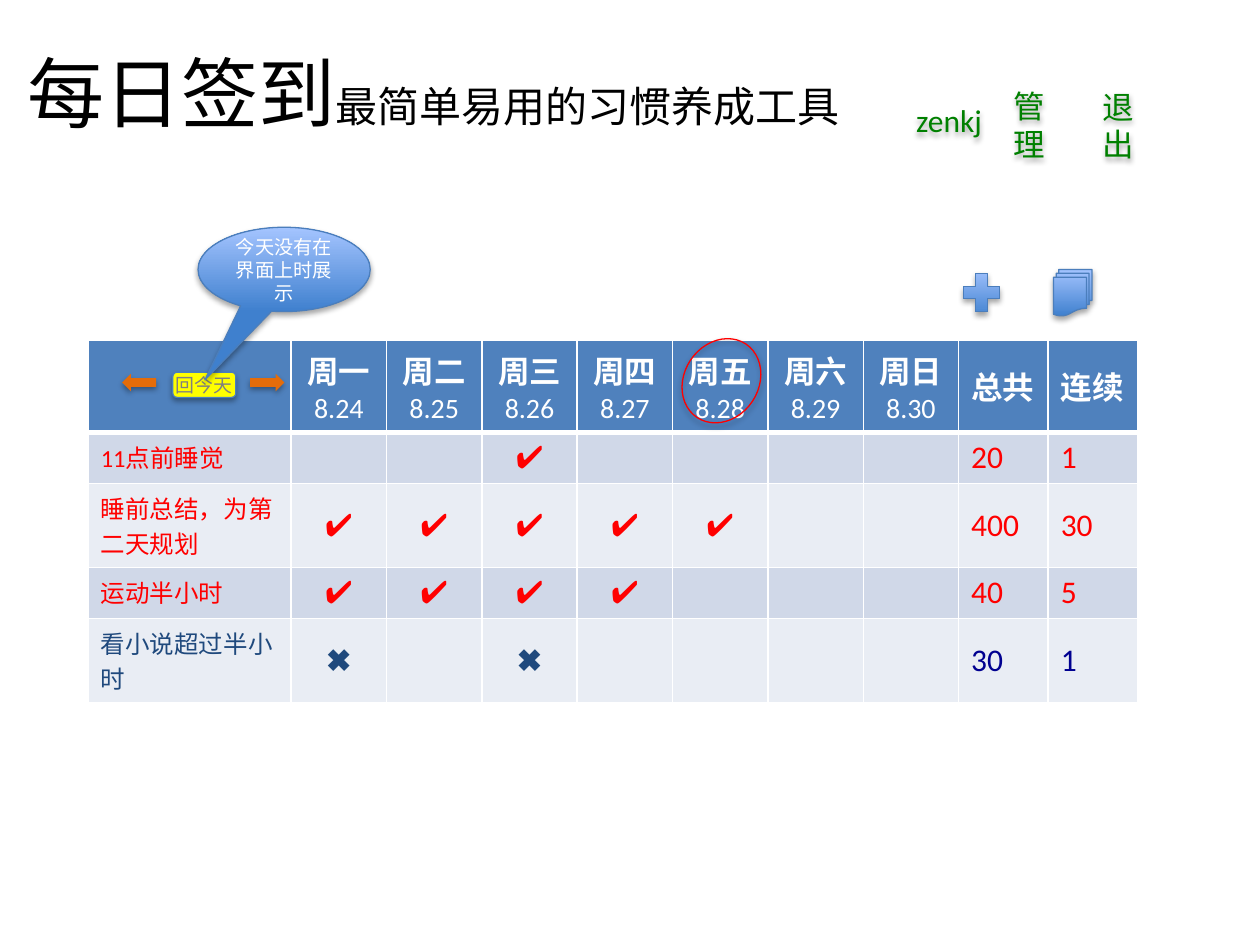
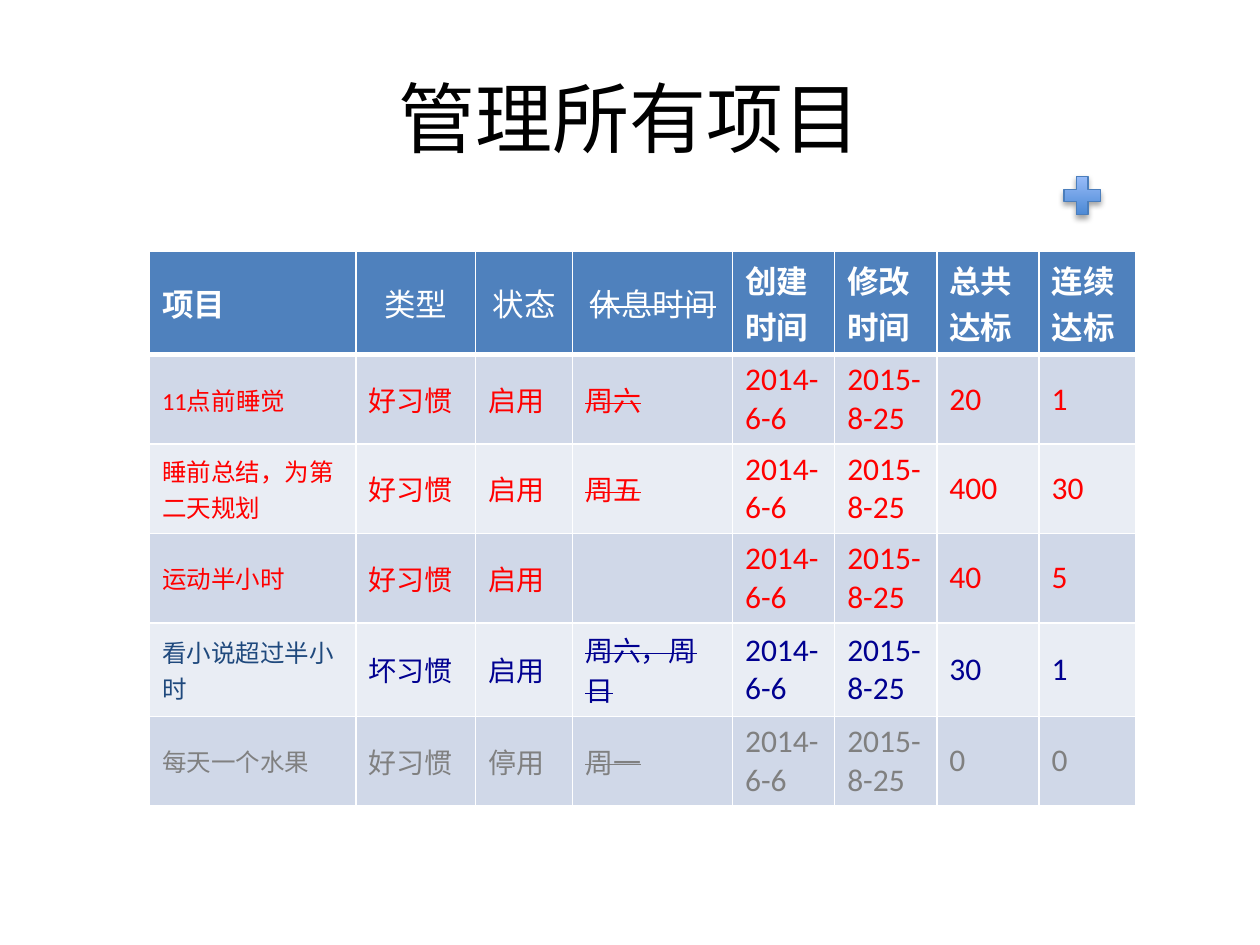
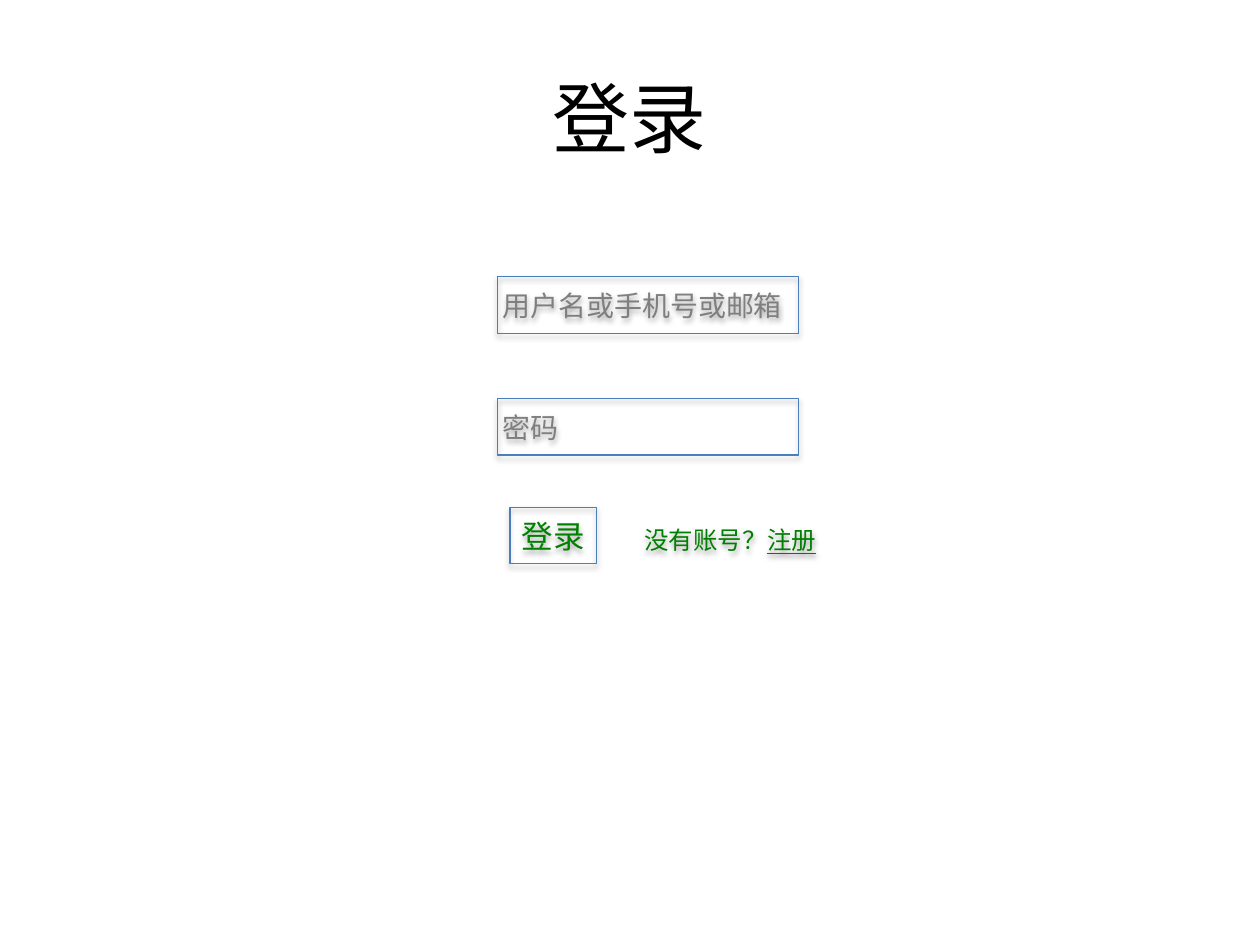
from dataclasses import dataclass
from typing import NamedTuple

from lxml.etree import SubElement
from pptx import Presentation
from pptx.dml.color import RGBColor
from pptx.enum.shapes import MSO_SHAPE
from pptx.enum.text import MSO_ANCHOR, PP_ALIGN
from pptx.oxml.ns import qn
from pptx.util import Pt


@dataclass(frozen=True)
class Theme:
    black: str = "000000"
    white: str = "FFFFFF"
    header: str = "4F81BD"
    bands: tuple = ("D0D8E8", "E9EDF4")
    outline: str = "4B7EBC"
    gradient: tuple = ("3F80CE", "A4C4FF")
    good: str = "FF0000"
    bad: str = "1F497D"
    bad_data: str = "000090"
    stopped: str = "808080"
    hint: str = "7F7F7F"
    action: str = "008000"
    arrow: str = "E46C0A"
    highlight: str = "FFFF00"
    font: str = "Calibri"
    symbol_font: str = "Arial"
    title: float = 44
    subtitle: float = 24
    body: float = 18
    detail: float = 16
    item: float = 14
    callout: float = 11
    badge: float = 10.8


THEME = Theme()


class Box(NamedTuple):
    left: float
    top: float
    width: float
    height: float

    def lengths(self) -> tuple:
        return tuple(Pt(value) for value in self)


@dataclass(frozen=True)
class Habit:
    name: str
    kind: str
    state: str
    rest: str
    total: str
    streak: str
    days: tuple = ()
    mark: str = "✔"
    name_color: str = THEME.good
    data_color: str = THEME.good


HABITS = [
    Habit("11点前睡觉", "好习惯", "启用", "周六", "20", "1", days=(2,)),
    Habit("睡前总结，为第二天规划", "好习惯", "启用", "周五", "400", "30", days=(0, 1, 2, 3, 4)),
    Habit("运动半小时", "好习惯", "启用", "", "40", "5", days=(0, 1, 2, 3)),
    Habit("看小说超过半小时", "坏习惯", "启用", "周六，周日", "30", "1", days=(0, 2), mark="✖",
          name_color=THEME.bad, data_color=THEME.bad_data),
    Habit("每天一个水果", "好习惯", "停用", "周一", "0", "0",
          name_color=THEME.stopped, data_color=THEME.stopped),
]
WEEK = [("周" + day, f"8.{24 + offset}") for offset, day in enumerate("一二三四五六日")]
TIGHT = (3, 3.6)
NO_INSET = (0, 0)


# Text
def write(paragraph, text: str, *, size: float = THEME.body, color: str = THEME.black,
          font: str = THEME.font, bold: bool = False, strike: bool = False,
          underline: bool = False, align=PP_ALIGN.LEFT) -> None:
    paragraph.alignment = align
    run = paragraph.add_run()
    run.text = text
    run.font.size = Pt(size)
    run.font.name = font
    run.font.bold = bold
    run.font.color.rgb = RGBColor.from_string(color)
    if underline:
        run.font.underline = True
    if strike:
        run._r.get_or_add_rPr().set("strike", "sngStrike")


def prepare_frame(shape, inset: tuple = (7.2, 3.6)):
    """Set wrapping, anchor and insets; return the first paragraph."""
    frame = shape.text_frame
    frame.word_wrap = True
    frame.vertical_anchor = MSO_ANCHOR.MIDDLE
    frame.margin_left = frame.margin_right = Pt(inset[0])
    frame.margin_top = frame.margin_bottom = Pt(inset[1])
    return frame.paragraphs[0]


def add_text_area(slide, box: Box, inset: tuple = (7.2, 3.6)):
    area = slide.shapes.add_textbox(*box.lengths())
    return area, prepare_frame(area, inset)


def add_title(slide, text: str) -> None:
    _, paragraph = add_text_area(slide, Box(36, 21.6, 648, 90))
    write(paragraph, text, size=THEME.title, align=PP_ALIGN.CENTER)


# Shapes
def cast_shadow(shape) -> None:
    shape.shadow.inherit = False
    effects = shape._element.spPr.find(qn("a:effectLst"))
    shadow = SubElement(effects, qn("a:outerShdw"), blurRad=str(Pt(3.15)), dist=str(Pt(1.8)),
                        dir="5400000", rotWithShape="0")
    color = SubElement(shadow, qn("a:srgbClr"), val=THEME.black)
    SubElement(color, qn("a:alpha"), val="35000")


def add_figure(slide, kind, box: Box, *, fill: str | None = None, gradient: bool = False,
               line: str | None = THEME.outline):
    figure = slide.shapes.add_shape(kind, *box.lengths())
    cast_shadow(figure)
    if gradient:
        figure.fill.gradient()
        figure.fill.gradient_angle = 90
        for stop, color in zip(figure.fill.gradient_stops, THEME.gradient):
            stop.color.rgb = RGBColor.from_string(color)
    elif fill:
        figure.fill.solid()
        figure.fill.fore_color.rgb = RGBColor.from_string(fill)
    else:
        figure.fill.background()
    if line:
        figure.line.color.rgb = RGBColor.from_string(line)
        figure.line.width = Pt(0.75)
    else:
        figure.line.fill.background()
    return figure


def add_plus(slide, left: float, top: float) -> None:
    add_figure(slide, MSO_SHAPE.MATH_PLUS, Box(left, top, 28, 30), gradient=True)


def add_action(slide, text: str, box: Box) -> None:
    area, paragraph = add_text_area(slide, box, TIGHT)
    cast_shadow(area)
    write(paragraph, text, color=THEME.action, align=PP_ALIGN.CENTER)


def add_field(slide, text: str, box: Box, **style) -> None:
    field = add_figure(slide, MSO_SHAPE.RECTANGLE, box)
    write(prepare_frame(field, TIGHT), text, **style)


# Tables
def set_borders(cell, widths: dict) -> None:
    properties = cell._tc.get_or_add_tcPr()
    for position, (side, width) in enumerate(widths.items()):
        border = SubElement(properties, qn(f"a:ln{side}"), w=str(Pt(width)))
        fill = SubElement(border, qn("a:solidFill"))
        SubElement(fill, qn("a:srgbClr"), val=THEME.white)
        properties.insert(position, border)


def add_grid(slide, left: float, top: float, widths: list, heights: list):
    box = Box(left, top, sum(widths), sum(heights))
    grid = slide.shapes.add_table(len(heights), len(widths), *box.lengths()).table
    for column, width in zip(grid.columns, widths):
        column.width = Pt(width)
    for index, (row, height) in enumerate(zip(grid.rows, heights)):
        row.height = Pt(height)
        color = THEME.bands[(index - 1) % 2] if index else THEME.header
        for cell in row.cells:
            cell.fill.solid()
            cell.fill.fore_color.rgb = RGBColor.from_string(color)
            set_borders(cell, {"L": 1, "R": 1, "T": 3 if index == 1 else 1,
                               "B": 3 if index == 0 else 1})
    return grid


def write_cell(cell, text: str, anchor=MSO_ANCHOR.MIDDLE, **style) -> None:
    if text:
        cell.vertical_anchor = anchor
        write(cell.text_frame.paragraphs[0], text, **style)


# Slide 1: daily check-in
def build_check_in(slide) -> None:
    _, heading = add_text_area(slide, Box(8.6, 7.2, 526.3, 90))
    write(heading, "每日签到", size=THEME.title, font=THEME.symbol_font)
    write(heading, "最简单易用的习惯养成工具", size=THEME.subtitle)
    add_plus(slide, 546.9, 152.2)

    habits = HABITS[:4]
    grid = add_grid(slide, 50.4, 194.4, [116] + [54.5] * len(WEEK) + [51.2] * 2,
                    [52.6] + [29.2, 48] * 2)
    for column, (day, date) in enumerate(WEEK, start=1):
        cell = grid.cell(0, column)
        write_cell(cell, day, MSO_ANCHOR.TOP, color=THEME.white, bold=True,
                   align=PP_ALIGN.CENTER)
        write(cell.text_frame.add_paragraph(), date, size=THEME.detail, color=THEME.white,
              align=PP_ALIGN.CENTER)
    for column, label in enumerate(("总共", "连续"), start=len(WEEK) + 1):
        write_cell(grid.cell(0, column), label, color=THEME.white, bold=True)
    for row, habit in enumerate(habits, start=1):
        write_cell(grid.cell(row, 0), habit.name, MSO_ANCHOR.TOP, size=THEME.item,
                   color=habit.name_color)
        for day in habit.days:
            write_cell(grid.cell(row, day + 1), habit.mark, font=THEME.symbol_font,
                       color=habit.name_color, align=PP_ALIGN.CENTER)
        for column, count in enumerate((habit.total, habit.streak), start=len(WEEK) + 1):
            write_cell(grid.cell(row, column), count, color=habit.data_color)

    # Week navigation and today's marker
    for kind, left in ((MSO_SHAPE.RIGHT_ARROW, 143), (MSO_SHAPE.LEFT_ARROW, 69.8)):
        add_figure(slide, kind, Box(left, 213.6, 19.5, 10), fill=THEME.arrow, line=None)
    today_ring = add_figure(slide, MSO_SHAPE.OVAL, Box(391, 192.4, 42.5, 50.4), line=THEME.good)
    today_ring.rotation = 33.6
    back_to_today = add_figure(slide, MSO_SHAPE.ROUNDED_RECTANGLE, Box(98.8, 212.7, 36, 14.4),
                               fill=THEME.highlight)
    write(prepare_frame(back_to_today, NO_INSET), "回今天", size=THEME.badge,
          color=THEME.stopped, align=PP_ALIGN.CENTER)
    add_figure(slide, MSO_SHAPE.FLOWCHART_MULTIDOCUMENT, Box(602, 154, 22, 26.6),
               gradient=True)

    # Account actions and callout
    add_action(slide, "管理", Box(567.4, 55.2, 41.7, 32.4))
    add_action(slide, "退出", Box(618.2, 55.4, 41.7, 32.4))
    hint = add_figure(slide, MSO_SHAPE.OVAL_CALLOUT, Box(113.2, 129.9, 98.4, 48.2),
                      gradient=True)
    hint.adjustments[0], hint.adjustments[1] = -0.46, 1.31
    write(prepare_frame(hint), "今天没有在界面上时展示", size=THEME.callout, color=THEME.white,
          align=PP_ALIGN.CENTER)
    add_action(slide, "zenkj", Box(515, 52.4, 54.7, 32.4))


# Slide 2: manage all items
def build_management(slide) -> None:
    add_title(slide, "管理所有项目")
    add_plus(slide, 604.4, 96.8)
    grid = add_grid(slide, 85.4, 143.5,
                    [118, 68.4, 55.4, 91.4, 58.4, 58.4, 58.4, 55.2],
                    [59.2, 51.1, 51.1, 51.1, 53.4, 51.1])
    labels = ("项目", "类型", "状态", "休息时间", "创建时间", "修改时间", "总共达标", "连续达标")
    rest_column = labels.index("休息时间")
    for column, label in enumerate(labels):
        centered = 1 <= column <= rest_column
        write_cell(grid.cell(0, column), label, color=THEME.white, bold=not centered,
                   strike=column == rest_column,
                   align=PP_ALIGN.CENTER if centered else PP_ALIGN.LEFT)
    for row, habit in enumerate(HABITS, start=1):
        write_cell(grid.cell(row, 0), habit.name, size=THEME.item, color=habit.name_color)
        values = (habit.kind, habit.state, habit.rest, "2014-6-6", "2015-8-25",
                  habit.total, habit.streak)
        for column, value in enumerate(values, start=1):
            write_cell(grid.cell(row, column), value, color=habit.data_color,
                       size=THEME.detail if column <= rest_column else THEME.body,
                       strike=column == rest_column)


# Slide 3: login
def build_login(slide) -> None:
    add_title(slide, "登录")
    for text, top in (("用户名或手机号或邮箱", 158.2), ("密码", 227.7)):
        add_field(slide, text, Box(284.4, top, 172, 32.4), size=THEME.detail, color=THEME.hint)
    add_field(slide, "登录", Box(291.4, 290, 49.5, 32.2), color=THEME.action,
              align=PP_ALIGN.CENTER)
    register, prompt = add_text_area(slide, Box(363.4, 292.3, 108, 32.4), TIGHT)
    cast_shadow(register)
    for text, underline in (("没有账号？", False), ("注册", True)):
        write(prompt, text, size=THEME.item, color=THEME.action, underline=underline,
              align=PP_ALIGN.CENTER)


deck = Presentation()
deck.slide_width, deck.slide_height = Pt(720), Pt(540)
for build in (build_check_in, build_management, build_login):
    build(deck.slides.add_slide(deck.slide_layouts[6]))
deck.save("out.pptx")
